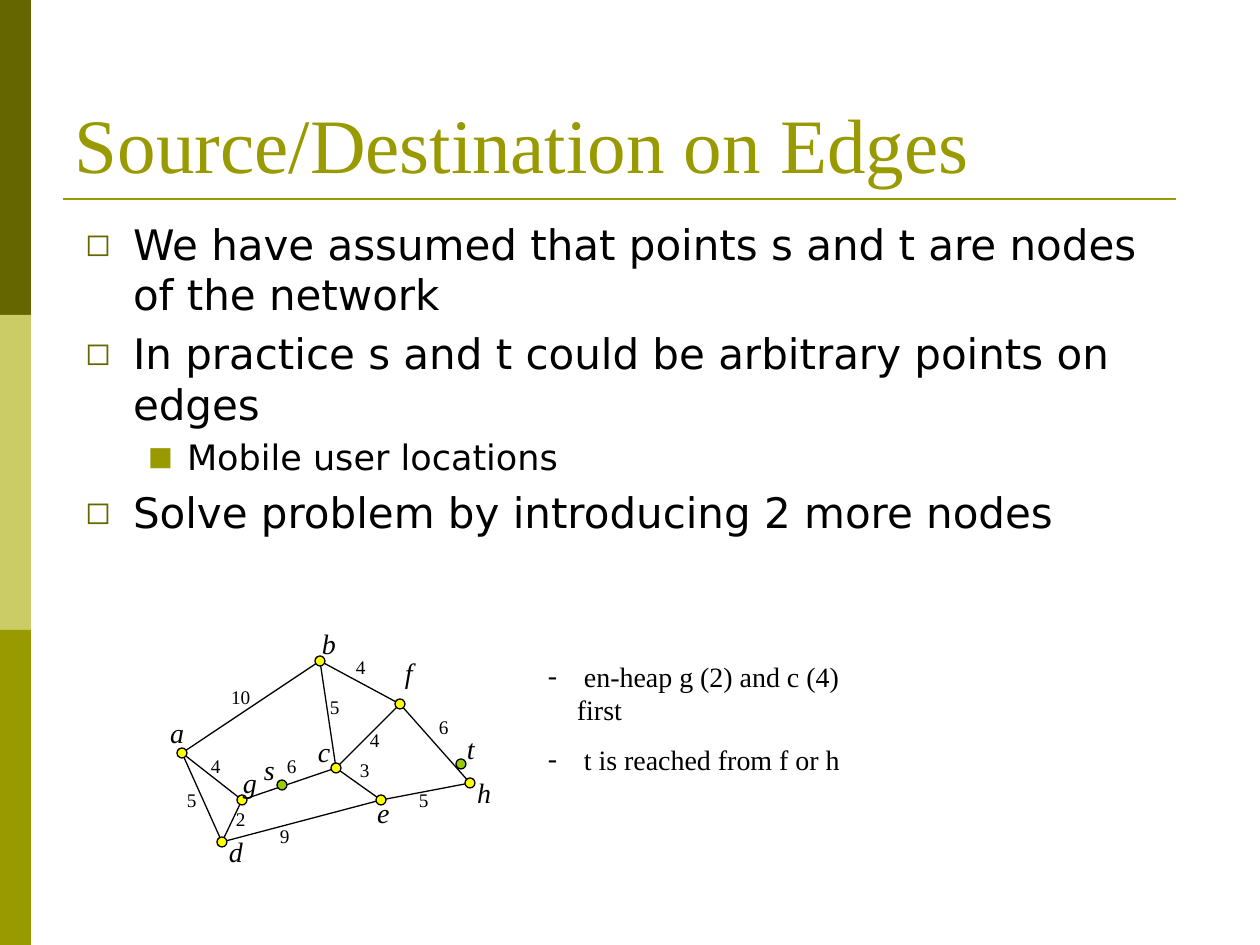
from dataclasses import dataclass
from math import hypot

from lxml.etree import SubElement
from pptx import Presentation
from pptx.dml.color import RGBColor
from pptx.enum.shapes import MSO_CONNECTOR, MSO_SHAPE
from pptx.enum.text import MSO_ANCHOR
from pptx.oxml.ns import qn
from pptx.util import Pt


@dataclass
class Theme:
    dark: str = "666600"
    light: str = "CCCC66"
    olive: str = "999900"
    ink: str = "000000"
    node: str = "FFFF00"
    endpoint: str = "99CC00"
    serif: str = "Times New Roman"
    sans: str = "DejaVu Sans"
    title: int = 44
    body: int = 24
    detail: int = 20
    label: int = 16
    weight: int = 11


theme = Theme()


def px(value):
    return round(value * 914400 / 126)


def write_text(frame, text, font=theme.serif, size=theme.label, color=theme.ink,
               italic=False, before=0, level=0, bullet=None,
               bullet_color=theme.ink, bullet_size=100, margin=0, hanging=0):
    para = frame.paragraphs[0]
    if para.runs:
        para = frame.add_paragraph()
    if bullet:
        properties = para._p.get_or_add_pPr()
        properties.set("marL", str(px(margin)))
        properties.set("indent", str(-px(hanging)))
        tint = SubElement(properties, qn("a:buClr"))
        SubElement(tint, qn("a:srgbClr"), val=bullet_color)
        SubElement(properties, qn("a:buSzPct"), val=str(bullet_size * 1000))
        SubElement(properties, qn("a:buFont"), typeface=font)
        SubElement(properties, qn("a:buChar"), char=bullet)
    para.level = level
    para.space_before = Pt(before)
    span = para.add_run()
    span.text = text
    span.font.name = font
    span.font.size = Pt(size)
    span.font.italic = italic
    span.font.color.rgb = RGBColor.from_string(color)


def add_box(left, top, width, height, inset=12):
    frame = page.shapes.add_textbox(px(left), px(top), px(width), px(height)).text_frame
    frame.word_wrap = True
    frame.margin_left = frame.margin_right = px(inset)
    return frame


deck = Presentation()
deck.slide_width, deck.slide_height = px(1260), px(945)
page = deck.slides.add_slide(deck.slide_layouts[6])

nodes = {
    "a": (182, 753), "b": (320, 661), "c": (336, 768), "d": (222, 842),
    "e": (381, 800), "f": (400, 704), "g": (242, 800), "h": (470, 783),
}
endpoints = {"s": (282, 785), "t": (461, 764)}
radius = 5

lines = [(63, 199, 1176, 199, theme.olive, 1.5)]
for start, end in "ab bc ag bf de fh ce gc eh cf dg ad".split() and [
        tuple(edge) for edge in "ab bc ag bf de fh ce gc eh cf dg ad".split()]:
    (x1, y1), (x2, y2) = nodes[start], nodes[end]
    length = hypot(x2 - x1, y2 - y1)
    dx, dy = radius * (x2 - x1) / length, radius * (y2 - y1) / length
    lines.append((x1 + dx, y1 + dy, x2 - dx, y2 - dy, theme.ink, 0.75))

for x1, y1, x2, y2, color, weight in lines:
    line = page.shapes.add_connector(MSO_CONNECTOR.STRAIGHT, px(x1), px(y1), px(x2), px(y2))
    line.line.color.rgb = RGBColor.from_string(color)
    line.line.width = Pt(weight)
    SubElement(line._element.spPr, qn("a:effectLst"))

shapes = [(MSO_SHAPE.RECTANGLE, 0, 315 * row, 31, 315, color)
          for row, color in enumerate((theme.dark, theme.light, theme.olive))]
for places, color in ((nodes, theme.node), (endpoints, theme.endpoint)):
    for x, y in places.values():
        shapes.append((MSO_SHAPE.OVAL, x - radius, y - radius, 2 * radius, 2 * radius, color))

for kind, left, top, width, height, color in shapes:
    shape = page.shapes.add_shape(kind, px(left), px(top), px(width), px(height))
    shape.shadow.inherit = False
    shape.fill.solid()
    shape.fill.fore_color.rgb = RGBColor.from_string(color)
    if kind == MSO_SHAPE.OVAL:
        shape.line.color.rgb = RGBColor.from_string(theme.ink)
        shape.line.width = Pt(0.75)
    else:
        shape.line.fill.background()

title = add_box(63, 38, 1134, 157)
title.vertical_anchor = MSO_ANCHOR.BOTTOM
write_text(title, "Source/Destination on Edges", size=theme.title, color=theme.olive)

main = dict(size=theme.body, bullet="◻", bullet_color=theme.dark, margin=48, hanging=48)
detail = dict(size=theme.detail, bullet="■", bullet_color=theme.olive,
              margin=102, hanging=39, level=1)
body = add_box(73, 212, 1113, 660)
for text, style, before in (
    ("We have assumed that points s and t are nodes of the network", main, 0),
    ("In practice s and t could be arbitrary points on edges", main, 5),
    ("Mobile user locations", detail, 4),
    ("Solve problem by introducing 2 more nodes", main, 5),
):
    write_text(body, text, font=theme.sans, bullet_size=75, before=before, **style)

for text, left, top, width, inset in (
    ("a", 158, 709, 42, 12), ("b", 310, 620, 42, 12), ("c", 306, 728, 39, 12),
    ("d", 217, 828, 44, 12), ("e", 365, 789, 42, 12), ("f", 393, 649, 42, 12),
    ("g", 231, 759, 49, 12), ("h", 465, 769, 42, 12), ("s", 252, 746, 39, 12),
    ("t", 462, 725, 18, 5),
):
    write_text(add_box(left, top, width, 47, inset), text, italic=True)

for text, left, top in (
    ("10", 219, 679), ("4", 199, 748), ("5", 175, 782), ("9", 268, 818),
    ("2", 224, 801), ("6", 275, 748), ("5", 318, 689), ("4", 344, 649),
    ("4", 358, 722), ("3", 348, 752), ("5", 407, 782), ("6", 427, 709),
):
    write_text(add_box(left, top, 27 + 9 * len(text), 37), text, size=theme.weight)

notes = add_box(536, 653, 353, 97)
for text, before in ((" en-heap g (2) and c (4) first", 0), (" t is reached from f or h", 9)):
    write_text(notes, text, bullet="-", margin=29, hanging=29, before=before)

deck.save("out.pptx")
